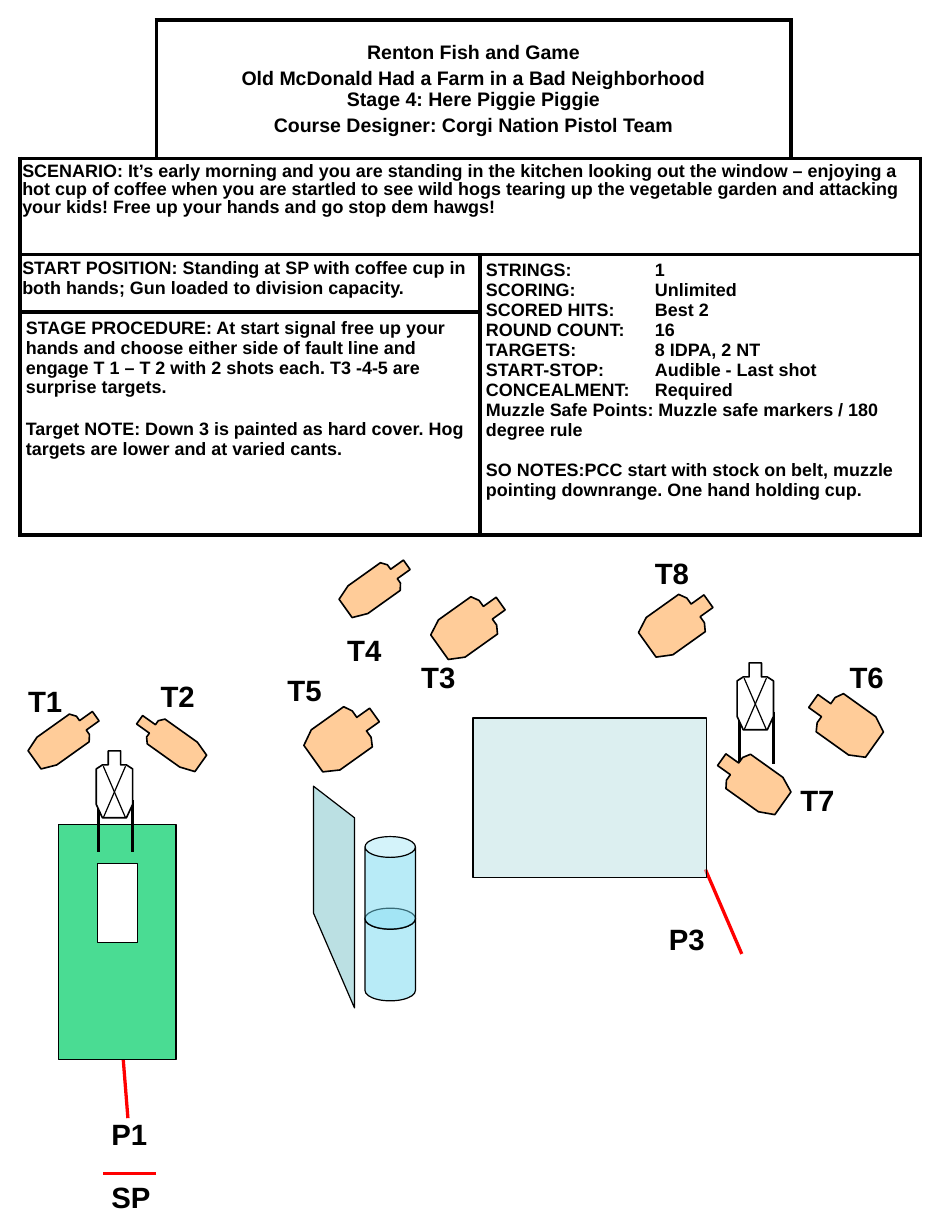
import copy
from dataclasses import dataclass

import pptx
import pptx.dml.color
import pptx.enum.shapes
import pptx.enum.text
import pptx.oxml
import pptx.oxml.ns
import pptx.util
from lxml import etree
from pptx.util import Inches

qn = pptx.oxml.ns.qn
MIDDLE = pptx.enum.text.MSO_ANCHOR.MIDDLE
CENTER = pptx.enum.text.PP_ALIGN.CENTER


@dataclass(frozen=True)
class Theme:
    font: str = "Arial"
    black: str = "000000"
    white: str = "FFFFFF"
    red: str = "FF0000"
    target: str = "FFCC99"
    wall: str = "4ADC93"
    barrel: str = "73D9F1"
    screen: str = "BBE0E3"
    title: float = 12
    body: float = 11
    label: float = 18
    hairline: float = 0
    thin: float = 0.75
    outline: float = 1
    fault: float = 2
    heavy: float = 2.25


THEME = Theme()

# Target silhouette as fractions of its upright box
SILHOUETTE = [(0.33, 0), (0.67, 0), (0.67, 0.21), (0.83, 0.21), (1, 0.27), (1, 0.8),
              (0.83, 1), (0.17, 1), (0, 0.8), (0, 0.27), (0.17, 0.21), (0.33, 0.21)]

FACTS = [("STRINGS:", "1"), ("SCORING:", "Unlimited"), ("SCORED HITS:", "Best 2"),
         ("ROUND COUNT:", "16"), ("TARGETS:", "8 IDPA, 2 NT"),
         ("START-STOP:", "Audible - Last shot"), ("CONCEALMENT:", "Required")]


def rgb(color):
    return pptx.dml.color.RGBColor.from_string(color)


def paint(shape, fill, width, alpha=None):
    shape.shadow.inherit = False
    shape.fill.solid()
    shape.fill.fore_color.rgb = rgb(fill)
    if alpha:
        color = shape.fill._xPr.find(qn("a:solidFill"))[0]
        etree.SubElement(color, qn("a:alpha")).set("val", str(alpha * 1000))
    shape.line.color.rgb = rgb(THEME.black)
    shape.line.width = pptx.util.Pt(width)


def style_text(para, size):
    for span in para.runs:
        span.font.name = THEME.font
        span.font.size = pptx.util.Pt(size)
        span.font.bold = True
        span.font.color.rgb = rgb(THEME.black)
    for line_break in para._p.findall(qn("a:br")):
        line_break.insert(0, copy.deepcopy(para.runs[0]._r.rPr))


def add_outline(shapes, *contours):
    """Draw closed contours, given as points in inches, as one freeform."""
    builder = None
    for contour in contours:
        points = [(Inches(x), Inches(y)) for x, y in contour]
        if builder is None:
            builder = shapes.build_freeform(*points[0], scale=1.0)
        else:
            builder.move_to(*points[0])
        builder.add_line_segments(points[1:], close=True)
    return builder.convert_to_shape()


def corners(x, y, w, h):
    return [(x, y), (x + w, y), (x + w, y + h), (x, y + h)]


def add_line(shapes, x1, y1, x2, y2, color, width):
    line = shapes.add_connector(pptx.enum.shapes.MSO_CONNECTOR.STRAIGHT,
                                Inches(x1), Inches(y1), Inches(x2), Inches(y2))
    line.line.color.rgb = rgb(color)
    line.line.width = pptx.util.Pt(width)
    etree.SubElement(line._element.spPr, qn("a:effectLst"))


def add_label(page, text, x, y):
    box = page.shapes.add_textbox(Inches(x), Inches(y), Inches(0.58), Inches(0.4))
    box.text_frame.word_wrap = True
    box.text_frame.text = text
    style_text(box.text_frame.paragraphs[0], THEME.label)


def add_target(shapes, x, y, w, h, angle=0, fill=THEME.target):
    target = add_outline(shapes, [(x + u * w, y + v * h) for u, v in SILHOUETTE])
    paint(target, fill, THEME.outline)
    target.rotation = angle


def add_no_shoot(page, x, y):
    """Crossed white target on two legs; x, y is the target's top left."""
    shapes = page.shapes.add_group_shape().shapes
    for leg in (x + 0.02, x + 0.31):
        add_line(shapes, leg, y + 0.42, leg, y + 0.86, THEME.black, THEME.heavy)
    add_target(shapes, x, y, 0.31, 0.57, fill=THEME.white)
    for top, bottom in ((0.25, 0.06), (0.06, 0.25)):
        add_line(shapes, x + top, y + 0.13, x + bottom, y + 0.57, THEME.black, THEME.thin)


def add_barrels(page, x, y):
    shapes = page.shapes.add_group_shape().shapes
    for top in (y + 0.61, y):
        can = shapes.add_shape(pptx.enum.shapes.MSO_SHAPE.CAN,
                               Inches(x), Inches(top), Inches(0.43), Inches(0.79))
        can.adjustments[0] = 0.413
        paint(can, THEME.barrel, THEME.thin, alpha=50)


def set_borders(cell, sides):
    properties = cell._tc.get_or_add_tcPr()
    for side in "LRTB":
        line = etree.SubElement(properties, qn("a:ln" + side))
        if side in sides:
            line.set("w", str(pptx.util.Pt(THEME.heavy)))
            fill = etree.SubElement(line, qn("a:solidFill"))
            etree.SubElement(fill, qn("a:srgbClr")).set("val", THEME.black)
        else:
            etree.SubElement(line, qn("a:noFill"))


def fill_cell(cell, texts, size=THEME.body, inset=(0.05, 0.05), before=0, spacing=None):
    cell.margin_left = cell.margin_right = Inches(inset[0])
    cell.margin_top = cell.margin_bottom = Inches(inset[1])
    frame = cell.text_frame
    for index, text in enumerate(texts):
        para = frame.add_paragraph() if index else frame.paragraphs[0]
        para.text = text
        if spacing:
            para.line_spacing = spacing
        if index and before:
            para.space_before = pptx.util.Pt(before)
        if "\t" in text:
            tabs = etree.SubElement(para._p.get_or_add_pPr(), qn("a:tabLst"))
            etree.SubElement(tabs, qn("a:tab"), pos=str(Inches(1.44)), algn="l")
        style_text(para, size)


def add_briefing(page, x, y, w, h):
    columns, rows = [1.16, 2.76, 2.65, 1.1], [1.18, 0.82, 0.49, 1.9]
    table = page.shapes.add_table(len(rows), len(columns), Inches(x), Inches(y),
                                  Inches(w), Inches(h)).table
    table.first_row = table.horz_banding = False
    for column, width in zip(table.columns, columns):
        column.width = Inches(width)
    for row, height in zip(table.rows, rows):
        row.height = Inches(height)
    open_corners = {(0, 0): "RB", (0, 3): "LB"}
    for r in range(len(rows)):
        for c in range(len(columns)):
            cell = table.cell(r, c)
            set_borders(cell, open_corners.get((r, c), "LRTB"))
            cell.fill.solid()
            cell.fill.fore_color.rgb = rgb(THEME.white)
    for first, last in (((0, 1), (0, 2)), ((1, 0), (1, 3)), ((2, 0), (2, 1)),
                        ((2, 2), (3, 3)), ((3, 0), (3, 1))):
        table.cell(*first).merge(table.cell(*last))

    title = table.cell(0, 1)
    fill_cell(title, ["Renton Fish and Game",
                      "Old McDonald Had a Farm in a Bad Neighborhood\vStage 4: Here Piggie Piggie",
                      "Course Designer: Corgi Nation Pistol Team"], THEME.title, before=2.4)
    title.vertical_anchor = MIDDLE
    for para in title.text_frame.paragraphs:
        para.alignment = CENTER
    fill_cell(table.cell(1, 0), [
        "SCENARIO: It’s early morning and you are standing in the kitchen looking out the "
        "window – enjoying a hot cup of coffee when you are startled to see wild hogs tearing "
        "up the vegetable garden and attacking your kids! Free up your hands and go stop dem "
        "hawgs!"], inset=(0.02, 0.04), spacing=0.9)
    fill_cell(table.cell(2, 0), [
        "START POSITION: Standing at SP with coffee cup in both hands; Gun loaded to division "
        "capacity."], inset=(0.02, 0.03))
    fill_cell(table.cell(3, 0), [
        "STAGE PROCEDURE: At start signal free up your hands and choose either side of fault "
        "line and engage T 1 – T 2 with 2 shots each. T3 -4-5 are surprise targets.",
        "Target NOTE: Down 3 is painted as hard cover. Hog targets are lower and at varied "
        "cants."], before=13.5)
    notes = table.cell(2, 2)
    fill_cell(notes, [f"{name}\t{value}" for name, value in FACTS] + [
        "Muzzle Safe Points: Muzzle safe markers / 180 degree rule",
        "SO NOTES:PCC start with stock on belt, muzzle pointing downrange. One hand holding cup."])
    notes.text_frame.paragraphs[-1].space_before = pptx.util.Pt(12.3)


def add_range(page):
    """Lay out the walls, barrels, targets and fault lines, back to front."""
    shapes = page.shapes
    add_line(shapes, 1.09, 9.53, 1.05, 9.03, THEME.red, THEME.fault)
    wall = add_outline(shapes, corners(0.5, 7.03, 1, 2), corners(0.83, 7.36, 0.34, 0.67))
    paint(wall, THEME.wall, THEME.hairline)
    add_barrels(page, 3.11, 7.13)
    door = add_outline(shapes, [(2.67, 7.78), (3.02, 8.59), (3.02, 6.97), (2.67, 6.7)])
    paint(door, THEME.screen, THEME.thin)
    add_line(shapes, 6.32, 8.13, 6.01, 7.41, THEME.red, THEME.fault)
    paint(add_outline(shapes, corners(4.03, 6.12, 1.99, 1.36)), THEME.screen, THEME.thin, alpha=50)
    add_no_shoot(page, 0.82, 6.4)
    add_no_shoot(page, 6.28, 5.65)
    right, left = 54.5, 305.5
    for x, y, w, angle in ((1.32, 6, 0.26, left), (0.41, 5.97, 0.29, right),
                           (2.72, 5.96, 0.42, right), (3.06, 4.68, 0.29, right),
                           (3.81, 5.01, 0.39, right), (5.58, 4.99, 0.39, right),
                           (6.23, 6.34, 0.36, left), (6.99, 5.84, 0.4, left)):
        add_target(shapes, x, y, w, 0.64, angle)
    add_line(shapes, 1.33, 10, 0.88, 10, THEME.red, THEME.fault)
    for text, x, y in (("P1", 0.85, 9.46), ("T1", 0.14, 5.77), ("T2", 1.27, 5.73),
                       ("T8", 5.48, 4.68), ("T6", 7.14, 5.57), ("T5", 2.35, 5.68),
                       ("T4", 2.86, 5.34), ("T3", 3.49, 5.57), ("T7", 6.72, 6.62),
                       ("P3", 5.6, 7.8), ("SP", 0.85, 10)):
        add_label(page, text, x, y)


def main():
    deck = pptx.Presentation()
    deck.slide_width, deck.slide_height = Inches(8), Inches(10.5)
    page = deck.slides.add_slide(deck.slide_layouts[6])
    add_briefing(page, 0.17, 0.17, 7.67, 4.39)
    add_range(page)
    deck.save("out.pptx")


if __name__ == "__main__":
    main()
